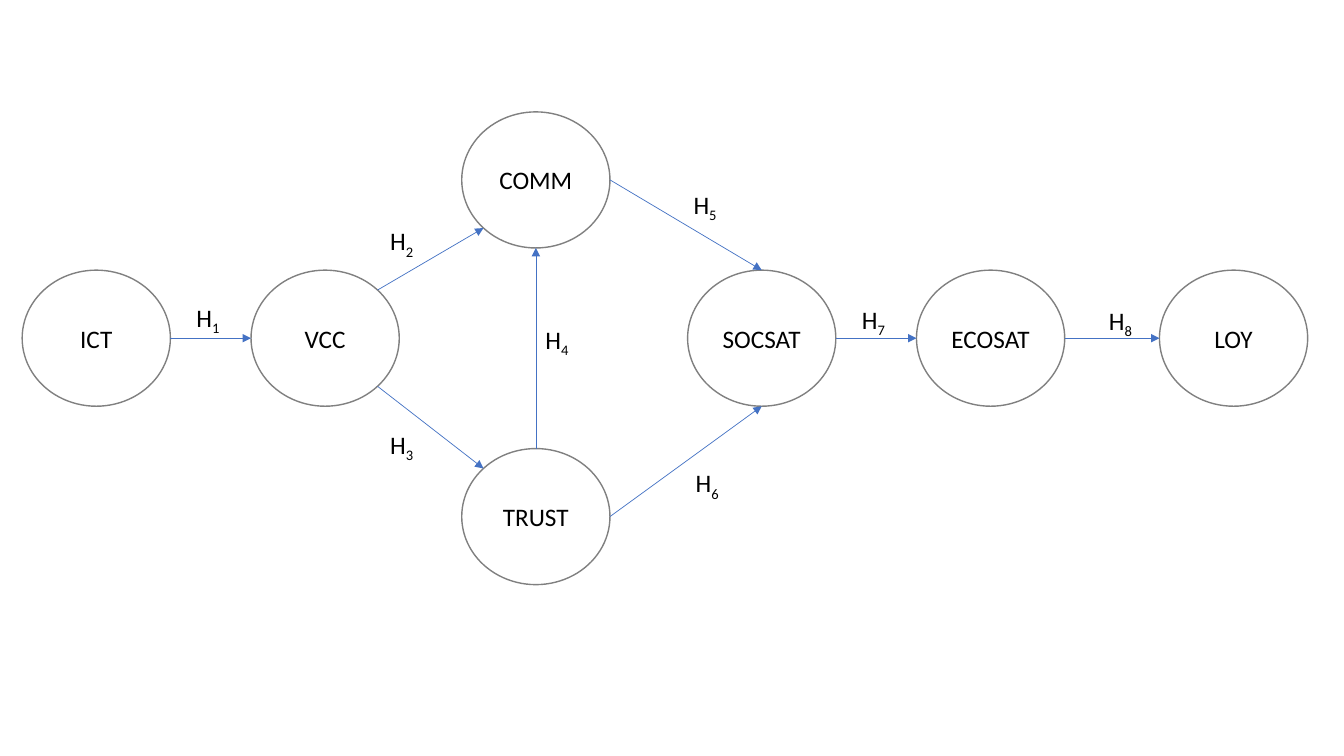
from dataclasses import dataclass
from math import cos, radians, sin

from lxml.etree import SubElement
from pptx import Presentation
from pptx.dml.color import RGBColor
from pptx.enum.shapes import MSO_CONNECTOR, MSO_SHAPE
from pptx.enum.text import MSO_ANCHOR, MSO_AUTO_SIZE, PP_ALIGN
from pptx.oxml.ns import qn
from pptx.util import Inches, Pt

OVAL, STRAIGHT = MSO_SHAPE.OVAL, MSO_CONNECTOR.STRAIGHT
CENTER, LEFT = PP_ALIGN.CENTER, PP_ALIGN.LEFT
MIDDLE, FIT_SHAPE = MSO_ANCHOR.MIDDLE, MSO_AUTO_SIZE.SHAPE_TO_FIT_TEXT


@dataclass(frozen=True)
class Theme:
    font: str = "Calibri"
    size: float = 18
    text: RGBColor = RGBColor(0, 0, 0)
    fill: RGBColor = RGBColor(255, 255, 255)
    outline: RGBColor = RGBColor(0x80, 0x80, 0x80)
    arrow: RGBColor = RGBColor(0x44, 0x72, 0xC4)
    outline_width: float = 1
    arrow_width: float = 0.5


THEME = Theme()
NODE_W, NODE_H = 1.47, 1.35
LABEL_W, LABEL_H = 0.45, 0.4
MID_ROW = 1.57

# Constructs: offset from the top left of the diagram
NODES = {
    "ICT": (0, MID_ROW),
    "VCC": (2.27, MID_ROW),
    "COMM": (4.36, 0),
    "SOCSAT": (6.6, MID_ROW),
    "ECOSAT": (8.87, MID_ROW),
    "TRUST": (4.36, 3.34),
    "LOY": (11.28, MID_ROW),
}

# Connection sites of an oval, counted anticlockwise from the top
TOP, TOP_LEFT, W_SIDE, BOTTOM_LEFT, BOTTOM, BOTTOM_RIGHT, E_SIDE, TOP_RIGHT = range(8)

# Hypotheses H1 to H8: source, site, target, site, label offset
HYPOTHESES = [
    ("ICT", E_SIDE, "VCC", W_SIDE, (1.63, 1.84)),
    ("VCC", TOP_RIGHT, "COMM", BOTTOM_LEFT, (3.55, 1.08)),
    ("VCC", BOTTOM_RIGHT, "TRUST", TOP_LEFT, (3.55, 3.1)),
    ("TRUST", TOP, "COMM", BOTTOM, (5.09, 2.06)),
    ("COMM", E_SIDE, "SOCSAT", TOP, (6.56, 0.72)),
    ("TRUST", E_SIDE, "SOCSAT", BOTTOM, (6.58, 3.48)),
    ("SOCSAT", E_SIDE, "ECOSAT", W_SIDE, (8.23, 1.86)),
    ("ECOSAT", E_SIDE, "LOY", W_SIDE, (10.68, 1.87)),
]


def add_text(p, text, align=LEFT, subscript=False):
    p.alignment = align
    r = p.add_run()
    r.text = text
    r.font.name = THEME.font
    r.font.size = Pt(THEME.size)
    r.font.color.rgb = THEME.text
    if subscript:
        r.font._element.set("baseline", "-25000")


def add_node(slide, name, left, top):
    sp = slide.shapes.add_shape(
        OVAL, Inches(left), Inches(top), Inches(NODE_W), Inches(NODE_H))
    sp.shadow.inherit = False
    sp.fill.solid()
    sp.fill.fore_color.rgb = THEME.fill
    sp.line.color.rgb = THEME.outline
    sp.line.width = Pt(THEME.outline_width)
    tf = sp.text_frame
    tf.vertical_anchor = MIDDLE
    add_text(tf.paragraphs[0], name, align=CENTER)
    return sp


def site_point(sp, site):
    angle = radians(90 + 45 * site)
    x = sp.left + sp.width / 2 * (1 + cos(angle))
    y = sp.top + sp.height / 2 * (1 - sin(angle))
    return round(x), round(y)


def add_arrow(slide, source, source_site, target, target_site):
    cxn = slide.shapes.add_connector(
        STRAIGHT, *site_point(source, source_site), *site_point(target, target_site))
    cxn.line.color.rgb = THEME.arrow
    cxn.line.width = Pt(THEME.arrow_width)
    SubElement(cxn.line._get_or_add_ln(), qn("a:tailEnd"), type="triangle")
    SubElement(cxn._element.spPr, qn("a:effectLst"))
    # Glue both ends to the ovals
    glue = cxn._element.nvCxnSpPr.cNvCxnSpPr
    for tag, sp, site in (("a:stCxn", source, source_site), ("a:endCxn", target, target_site)):
        SubElement(glue, qn(tag), id=str(sp.shape_id), idx=str(site))


def add_label(slide, number, left, top):
    sp = slide.shapes.add_textbox(
        Inches(left), Inches(top), Inches(LABEL_W), Inches(LABEL_H))
    tf = sp.text_frame
    tf.word_wrap = False
    tf.auto_size = FIT_SHAPE
    p = tf.paragraphs[0]
    add_text(p, "H")
    add_text(p, str(number), subscript=True)


def add_path_model(slide, left, top):
    # Constructs
    nodes = {name: add_node(slide, name, left + x, top + y)
             for name, (x, y) in NODES.items()}
    # Hypothesis arrows
    for source, source_site, target, target_site, _ in HYPOTHESES:
        add_arrow(slide, nodes[source], source_site, nodes[target], target_site)
    # Hypothesis labels
    for number, (*_, (x, y)) in enumerate(HYPOTHESES, 1):
        add_label(slide, number, left + x, top + y)


def main():
    prs = Presentation()
    prs.slide_width, prs.slide_height = Inches(13.33), Inches(7.5)
    slide = prs.slides.add_slide(prs.slide_layouts[6])
    add_path_model(slide, left=0.22, top=1.11)
    prs.save("out.pptx")


if __name__ == "__main__":
    main()
